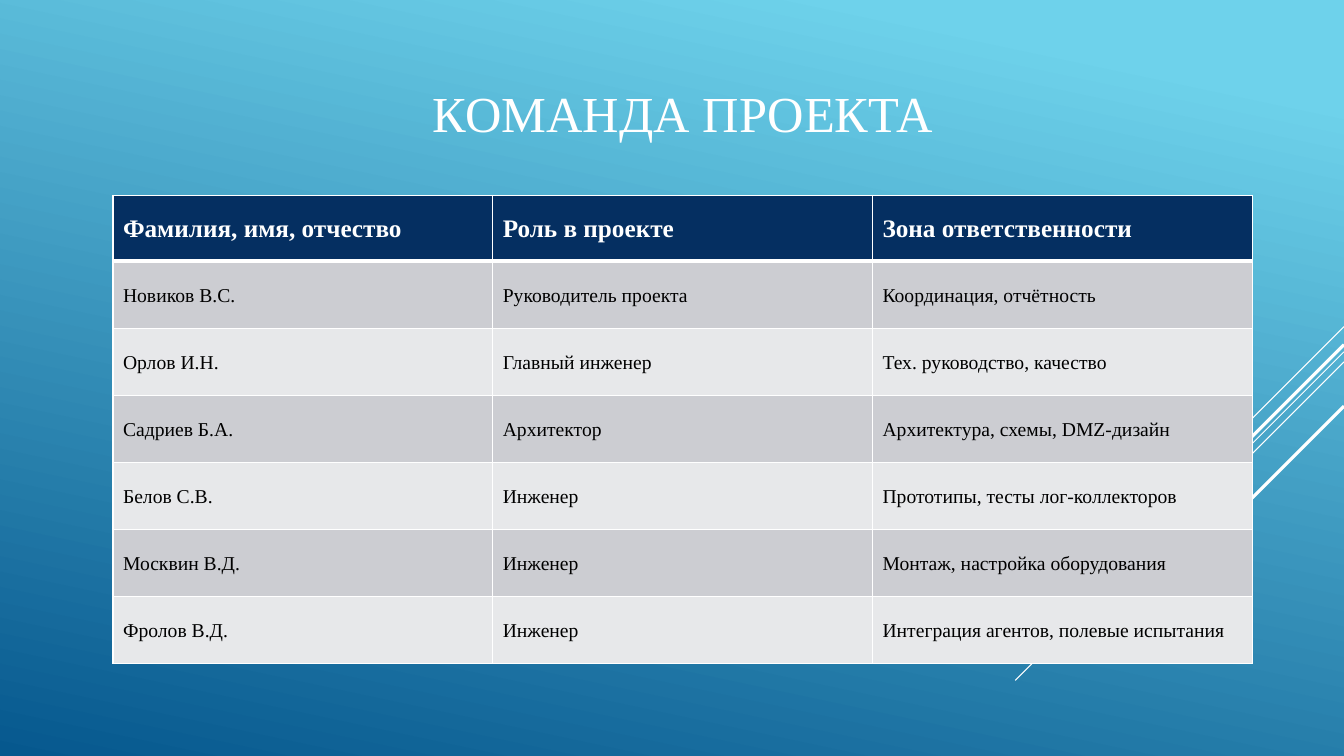
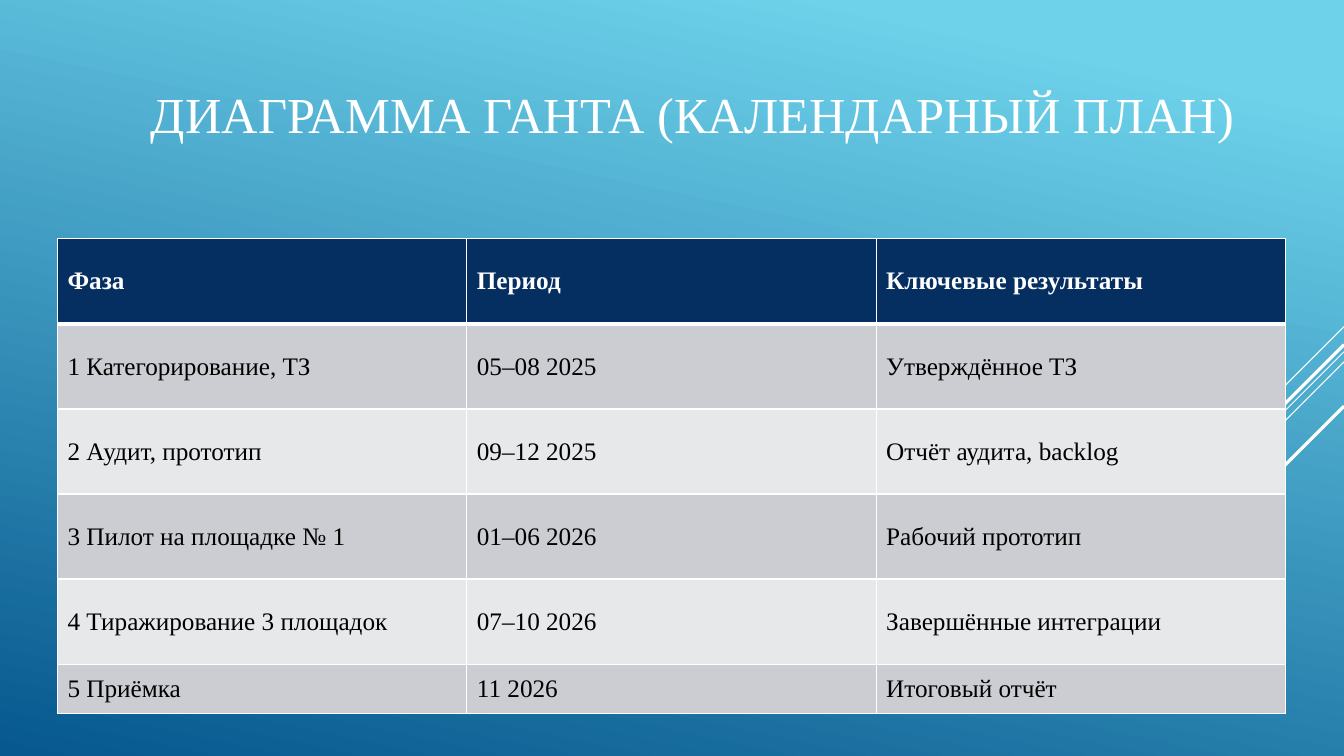
from dataclasses import dataclass

from lxml import etree
from pptx import Presentation
from pptx.dml.color import RGBColor
from pptx.enum.shapes import MSO_CONNECTOR
from pptx.enum.text import MSO_ANCHOR, MSO_AUTO_SIZE, PP_ALIGN
from pptx.oxml.ns import qn
from pptx.util import Inches, Pt

STRAIGHT = MSO_CONNECTOR.STRAIGHT
MIDDLE = MSO_ANCHOR.MIDDLE
NO_FIT = MSO_AUTO_SIZE.NONE
CENTER = PP_ALIGN.CENTER

FONT = "Times New Roman"
COLORS = {
    "sky": "6ED2EB",
    "deep": "06588E",
    "header": "052F61",
    "band_dark": "CCCDD2",
    "band_light": "E7E8EA",
    "white": "FFFFFF",
    "black": "000000",
}
SLIDE_W, SLIDE_H = 13.33, 7.5
TITLE_SIZE, HEADER_SIZE = 36, 18
THIN, THICK = 1, 3


@dataclass(frozen=True)
class Ray:
    top: float
    length: float
    weight: float


@dataclass(frozen=True)
class Box:
    left: float
    top: float
    width: float
    height: float


@dataclass(frozen=True)
class TableSlide:
    title: str
    title_box: Box
    table_box: Box
    rows: list[tuple[str, str, str]]
    body_size: int
    odd_row: int
    odd_height: float
    line_spacing: float = 1.0
    space_after: int = 0


RAYS = [
    Ray(3.24, 1.0, 0.75),
    Ray(3.49, 3.26, 0.75),
    Ray(3.59, 2.07, 0.75),
    Ray(3.42, 1.91, 2.25),
    Ray(4.03, 1.39, 2.25),
]

SLIDES = [
    TableSlide(
        title="КОМАНДА ПРОЕКТА",
        title_box=Box(2.11, 0.29, 9.33, 1.65),
        table_box=Box(1.12, 1.94, 11.3, 4.64),
        rows=[
            ("Фамилия, имя, отчество", "Роль в проекте", "Зона ответственности"),
            ("Новиков В.С.", "Руководитель проекта", "Координация, отчётность"),
            ("Орлов И.Н.", "Главный инженер", "Тех. руководство, качество"),
            ("Садриев Б.А.", "Архитектор", "Архитектура, схемы, DMZ-дизайн"),
            ("Белов С.В.", "Инженер", "Прототипы, тесты лог-коллекторов"),
            ("Москвин В.Д.", "Инженер", "Монтаж, настройка оборудования"),
            ("Фролов В.Д.", "Инженер", "Интеграция агентов, полевые испытания"),
        ],
        body_size=14,
        odd_row=0,
        odd_height=0.65,
        line_spacing=1.07,
        space_after=8,
    ),
    TableSlide(
        title="ДИАГРАММА ГАНТА (КАЛЕНДАРНЫЙ ПЛАН)",
        title_box=Box(0.57, 0.3, 12.6, 1.65),
        table_box=Box(0.57, 2.37, 12.18, 4.71),
        rows=[
            ("Фаза", "Период", "Ключевые результаты"),
            ("1 Категорирование, ТЗ", "05–08 2025", "Утверждённое ТЗ"),
            ("2 Аудит, прототип", "09–12 2025", "Отчёт аудита, backlog"),
            ("3 Пилот на площадке № 1", "01–06 2026", "Рабочий прототип"),
            ("4 Тиражирование 3 площадок", "07–10 2026", "Завершённые интеграции"),
            ("5 Приёмка", "11 2026", "Итоговый отчёт"),
        ],
        body_size=18,
        odd_row=5,
        odd_height=0.49,
    ),
]


def rgb(name: str) -> RGBColor:
    return RGBColor.from_string(COLORS[name])


def set_background(master) -> None:
    fill = master.background.fill
    fill.gradient()
    fill.gradient_angle = 258
    for stop, position, color in zip(fill.gradient_stops, (0.1, 1.0), ("sky", "deep")):
        stop.position = position
        stop.color.rgb = rgb(color)


def add_run(p, text: str, size: int, color: str, bold: bool = False) -> None:
    r = p.add_run()
    r.text = text
    r.font.name = FONT
    r.font.size = Pt(size)
    r.font.bold = bold
    r.font.color.rgb = rgb(color)


def add_ray(slide, ray: Ray) -> None:
    sp = slide.shapes.add_connector(
        STRAIGHT,
        Inches(SLIDE_W), Inches(ray.top),
        Inches(SLIDE_W - ray.length), Inches(ray.top + ray.length),
    )
    sp.line.color.rgb = rgb("white")
    sp.line.width = Pt(ray.weight)
    etree.SubElement(sp._element.spPr, qn("a:effectLst"))


def set_title(slide, text: str, box: Box) -> None:
    sp = slide.shapes.title
    sp.left, sp.top = Inches(box.left), Inches(box.top)
    sp.width, sp.height = Inches(box.width), Inches(box.height)
    tf = sp.text_frame
    tf.word_wrap = True
    tf.auto_size = NO_FIT
    tf.vertical_anchor = MIDDLE
    p = tf.paragraphs[0]
    p.alignment = CENTER
    add_run(p, text, TITLE_SIZE, "white")


def set_borders(cell, top: int, bottom: int) -> None:
    tc_pr = cell._tc.get_or_add_tcPr()
    widths = {"a:lnL": THIN, "a:lnR": THIN, "a:lnT": top, "a:lnB": bottom}
    for i, (tag, width) in enumerate(widths.items()):
        ln = etree.Element(qn(tag), w=str(Pt(width)))
        solid = etree.SubElement(ln, qn("a:solidFill"))
        etree.SubElement(solid, qn("a:srgbClr"), val=COLORS["white"])
        tc_pr.insert(i, ln)


def fill_cell(cell, text: str, row: int, spec: TableSlide) -> None:
    header = row == 0
    band = "band_dark" if row % 2 else "band_light"
    cell.fill.solid()
    cell.fill.fore_color.rgb = rgb("header" if header else band)
    set_borders(cell, THICK if row == 1 else THIN, THICK if header else THIN)
    cell.vertical_anchor = MIDDLE
    p = cell.text_frame.paragraphs[0]
    p.line_spacing = spec.line_spacing
    p.space_after = Pt(spec.space_after)
    size = HEADER_SIZE if header else spec.body_size
    add_run(p, text, size, "white" if header else "black", header)


def add_data_table(slide, spec: TableSlide) -> None:
    box = spec.table_box
    n_rows, n_cols = len(spec.rows), len(spec.rows[0])
    table = slide.shapes.add_table(
        n_rows, n_cols,
        Inches(box.left), Inches(box.top), Inches(box.width), Inches(box.height),
    ).table
    for column in table.columns:
        column.width = Inches(box.width / n_cols)
    even_height = (box.height - spec.odd_height) / (n_rows - 1)
    for i, values in enumerate(spec.rows):
        height = spec.odd_height if i == spec.odd_row else even_height
        table.rows[i].height = Inches(height)
        for j, text in enumerate(values):
            fill_cell(table.cell(i, j), text, i, spec)


def build_slide(prs, spec: TableSlide) -> None:
    slide = prs.slides.add_slide(prs.slide_layouts.get_by_name("Title Only"))
    for ray in RAYS:
        add_ray(slide, ray)
    set_title(slide, spec.title, spec.title_box)
    add_data_table(slide, spec)


def main() -> None:
    prs = Presentation()
    prs.slide_width, prs.slide_height = Inches(SLIDE_W), Inches(SLIDE_H)
    set_background(prs.slide_master)
    for spec in SLIDES:
        build_slide(prs, spec)
    prs.save("out.pptx")


if __name__ == "__main__":
    main()
